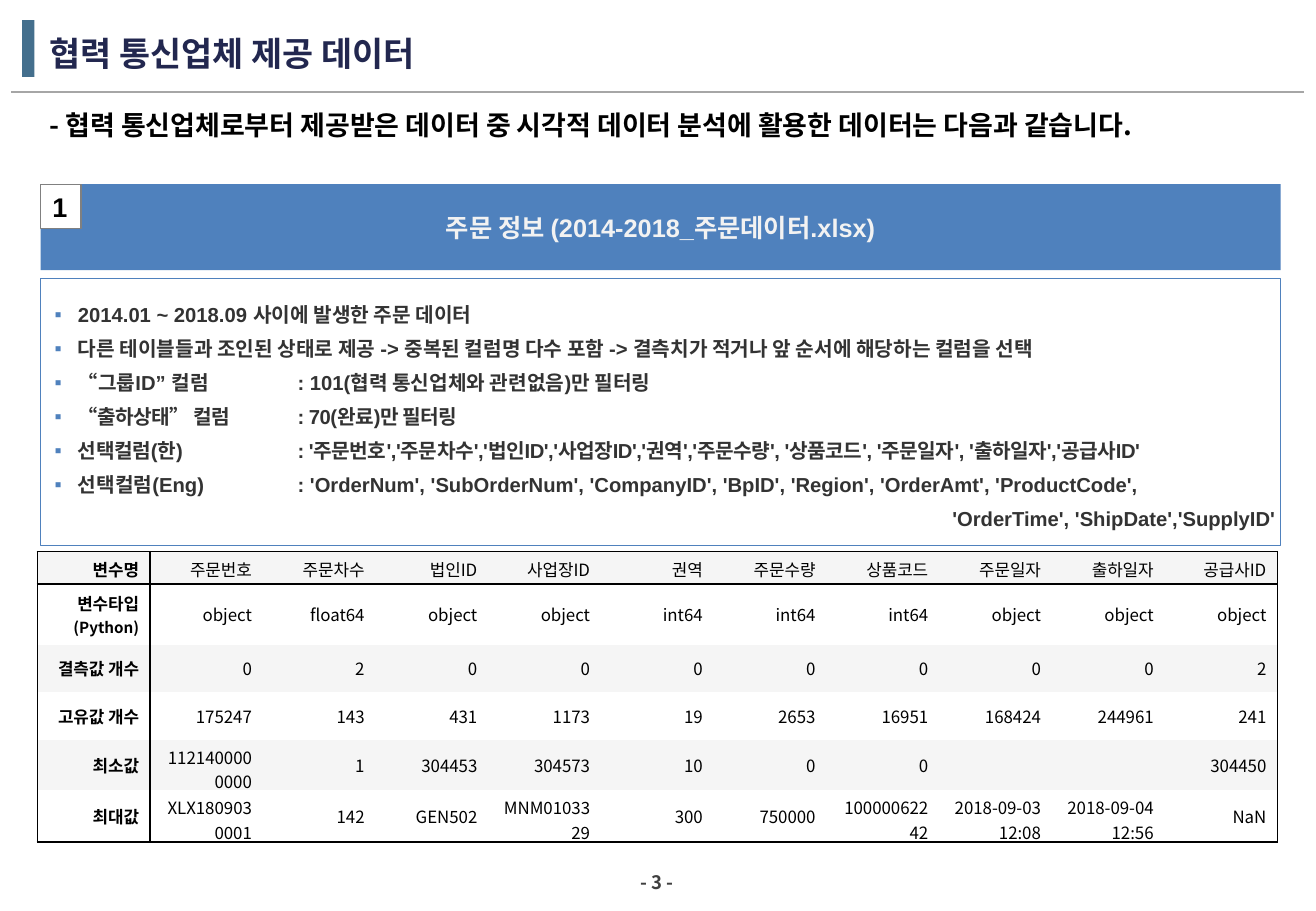
from lxml.etree import SubElement
from pptx import Presentation
from pptx.dml.color import RGBColor
from pptx.enum.shapes import MSO_CONNECTOR, MSO_SHAPE
from pptx.enum.text import MSO_ANCHOR, PP_ALIGN
from pptx.oxml.ns import qn
from pptx.util import Pt

PX = 7620
NOTO = "Noto Sans CJK KR"
ARIAL = "Arial"
COLORS = {
    "white": "FFFFFF", "black": "000000", "navy": "22274F", "teal": "446F8D",
    "blue": "4F81BD", "rule": "A6A6A6", "border": "808080", "page": "404040",
    "text": "333333", "banner": "F2F2F2", "band": "F5F5F5",
}
NOTES = [
    ("2014.01 ~ 2018.09 사이에 발생한 주문 데이터", 0),
    ("다른 테이블들과 조인된 상태로 제공 -> 중복된 컬럼명 다수 포함 -> 결측치가 적거나 앞 순서에 해당하는 컬럼을 선택", 0),
    ("“그룹ID” 컬럼\t: 101(협력 통신업체와 관련없음)만 필터링", 0),
    ("“출하상태” 컬럼\t: 70(완료)만 필터링", -30),
    ("선택컬럼(한)\t: '주문번호','주문차수','법인ID','사업장ID','권역','주문수량', '상품코드', '주문일자', '출하일자','공급사ID'", -30),
    ("선택컬럼(Eng)\t: 'OrderNum', 'SubOrderNum', 'CompanyID', 'BpID', 'Region', 'OrderAmt', 'ProductCode',", 0),
]
NOTES_TAIL = "'OrderTime', 'ShipDate','SupplyID'"
ROW_HEIGHTS = [32, 60, 47, 47, 50, 51]
ROWS = [
    ["변수명", "주문번호", "주문차수", "법인ID", "사업장ID", "권역", "주문수량", "상품코드", "주문일자", "출하일자", "공급사ID"],
    ["변수타입\n(Python)", "object", "float64", "object", "object", "int64", "int64", "int64", "object", "object", "object"],
    ["결측값 개수", "0", "2", "0", "0", "0", "0", "0", "0", "0", "2"],
    ["고유값 개수", "175247", "143", "431", "1173", "19", "2653", "16951", "168424", "244961", "241"],
    ["최소값", "1121400000000", "1", "304453", "304573", "10", "0", "0", "", "", "304450"],
    ["최대값", "XLX1809030001", "142", "GEN502", "MNM0103329", "300", "750000", "10000062242", "2018-09-03 12:08", "2018-09-04 12:56", "NaN"],
]


def rgb(name):
    return RGBColor.from_string(COLORS[name])


def px(*values):
    return [v * PX for v in values]


def format_paragraph(p, size, color, font=NOTO, bold=True, align=PP_ALIGN.LEFT):
    p.alignment = align
    for r in p.runs:
        r.font.size = Pt(size)
        r.font.bold = bold
        r.font.name = font
        r.font.color.rgb = rgb(color)
        SubElement(r.font._element, qn("a:ea"), typeface=NOTO)


def set_margins(obj, left, top, right, bottom):
    obj.margin_left, obj.margin_top, obj.margin_right, obj.margin_bottom = px(left, top, right, bottom)


def add_text(s, box, text, size, color, anchor=MSO_ANCHOR.MIDDLE, align=PP_ALIGN.LEFT, bottom=6):
    tf = s.shapes.add_textbox(*px(*box)).text_frame
    tf.word_wrap = True
    tf.vertical_anchor = anchor
    set_margins(tf, 12, 6, 12, bottom)
    tf.text = text
    format_paragraph(tf.paragraphs[0], size, color, align=align)


def add_box(s, box, fill, line=None):
    sp = s.shapes.add_shape(MSO_SHAPE.RECTANGLE, *px(*box))
    sp.shadow.inherit = False
    sp.fill.solid()
    sp.fill.fore_color.rgb = rgb(fill)
    if line:
        sp.line.color.rgb = rgb(line)
        sp.line.width = Pt(0.75)
    else:
        sp.line.fill.background()
    return sp


def add_label(s, box, text, size, color, fill, line=None, anchor=MSO_ANCHOR.MIDDLE, align=PP_ALIGN.CENTER):
    tf = add_box(s, box, fill, line).text_frame
    tf.word_wrap = False
    tf.vertical_anchor = anchor
    tf.text = text
    format_paragraph(tf.paragraphs[0], size, color, ARIAL, align=align)


def add_rule(s, x1, x2, y):
    c = s.shapes.add_connector(MSO_CONNECTOR.STRAIGHT, *px(x1, y, x2, y))
    c.line.color.rgb = rgb("rule")
    c.line.width = Pt(1.5)
    SubElement(c._element.spPr, qn("a:effectLst"))


def add_bullet(p):
    pPr = p._p.get_or_add_pPr()
    pPr.set("marL", str(23 * PX))
    pPr.set("indent", str(-23 * PX))
    pPr.set("defTabSz", str(120 * PX))
    clr = SubElement(pPr, qn("a:buClr"))
    SubElement(clr, qn("a:srgbClr"), val=COLORS["blue"])
    SubElement(pPr, qn("a:buFont"), typeface=ARIAL)
    SubElement(pPr, qn("a:buChar"), char="▪")
    tabs = SubElement(pPr, qn("a:tabLst"))
    SubElement(tabs, qn("a:tab"), pos=str(240 * PX), algn="l")


def add_notes(s, box):
    tf = add_box(s, box, "white", "blue").text_frame
    tf.word_wrap = True
    tf.vertical_anchor = MSO_ANCHOR.MIDDLE
    set_margins(tf, 14, 6, 5, 6)
    tf.text = "\n".join([text for text, _ in NOTES] + [NOTES_TAIL])
    for p, (_, spacing) in zip(tf.paragraphs, NOTES):
        add_bullet(p)
        format_paragraph(p, 12, "text", ARIAL)
        for r in p.runs:
            r.font._element.set("spc", str(spacing))
    format_paragraph(tf.paragraphs[-1], 12, "text", ARIAL, align=PP_ALIGN.RIGHT)
    for p in tf.paragraphs:
        p.line_spacing = 1.4


def set_borders(cell, sides):
    tcPr = cell._tc.get_or_add_tcPr()
    for side, shown in sides.items():
        ln = SubElement(tcPr, qn(f"a:ln{side}"), w=str(Pt(1)))
        if shown:
            fill = SubElement(ln, qn("a:solidFill"))
            SubElement(fill, qn("a:srgbClr"), val=COLORS["black"])
        else:
            SubElement(ln, qn("a:noFill"))


def fill_cell(cell, text, bold, fill):
    cell.fill.solid()
    cell.fill.fore_color.rgb = rgb(fill)
    cell.vertical_anchor = MSO_ANCHOR.MIDDLE
    set_margins(cell, 11, 5, 11, 5)
    cell.text_frame.text = text
    for i, p in enumerate(cell.text_frame.paragraphs):
        format_paragraph(p, 10 - i, "black", bold=bold, align=PP_ALIGN.RIGHT)
        if not p.runs:
            SubElement(p._p, qn("a:endParaRPr"), sz="1000")


def add_variable_table(s, box):
    last_row, last_col = len(ROWS) - 1, len(ROWS[0]) - 1
    table = s.shapes.add_table(last_row + 1, last_col + 1, *px(*box)).table
    table.first_row = table.horz_banding = False
    for row, height in zip(table.rows, ROW_HEIGHTS):
        row.height = height * PX
    for i, values in enumerate(ROWS):
        for j, text in enumerate(values):
            cell = table.cell(i, j)
            set_borders(cell, {"L": j in (0, 1), "R": j in (0, last_col),
                               "T": i in (0, 1), "B": i in (0, last_row)})
            fill_cell(cell, text, j == 0, "white" if i % 2 else "band")


def main():
    prs = Presentation()
    prs.slide_width, prs.slide_height = px(1300, 900)
    s = prs.slides.add_slide(prs.slide_layouts[6])
    add_text(s, (509, 857, 280, 29), "- 3 -", 11, "page", align=PP_ALIGN.CENTER)
    add_box(s, (22, 20, 12, 56), "teal")
    add_rule(s, 11, 1288, 91)
    add_text(s, (37, 10, 1225, 78), "협력 통신업체 제공 데이터", 20, "navy", bottom=0)
    add_text(s, (37, 101, 1225, 132), "- 협력 통신업체로부터 제공받은 데이터 중 시각적 데이터 분석에 활용한 데이터는 다음과 같습니다.",
             16, "black", MSO_ANCHOR.TOP)
    add_notes(s, (40, 275, 1225, 264))
    add_label(s, (40, 182, 1225, 85), "주문 정보 (2014-2018_주문데이터.xlsx)", 15, "banner", "blue")
    add_label(s, (40, 182, 40, 44), "1", 16, "black", "white", "border", MSO_ANCHOR.TOP, PP_ALIGN.LEFT)
    add_variable_table(s, (37, 545, 1225, 287))
    prs.save("out.pptx")


if __name__ == "__main__":
    main()
